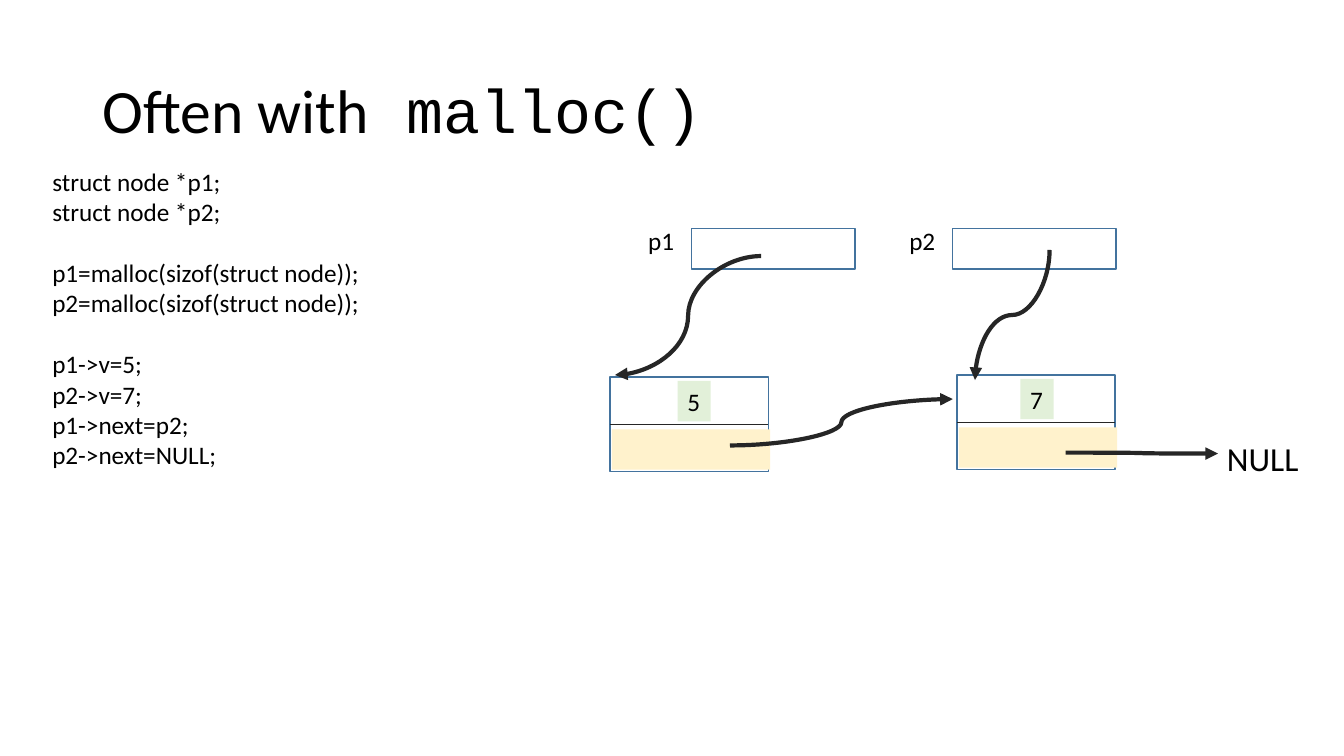
from dataclasses import dataclass

from pptx import Presentation
from pptx.dml.color import RGBColor
from pptx.enum.dml import MSO_LINE
from pptx.enum.shapes import MSO_CONNECTOR, MSO_SHAPE
from pptx.enum.text import MSO_ANCHOR, MSO_AUTO_SIZE, PP_ALIGN
from pptx.oxml.ns import qn
from pptx.oxml.xmlchemy import OxmlElement
from pptx.shapes.autoshape import Shape
from pptx.shapes.connector import Connector
from pptx.slide import Slide
from pptx.text.text import TextFrame, _Paragraph
from pptx.util import Inches, Pt

RECTANGLE = MSO_SHAPE.RECTANGLE
STRAIGHT, CURVE = MSO_CONNECTOR.STRAIGHT, MSO_CONNECTOR.CURVE
SOLID = MSO_LINE.SOLID
TOP, MIDDLE = MSO_ANCHOR.TOP, MSO_ANCHOR.MIDDLE
NO_FIT = MSO_AUTO_SIZE.NONE
LEFT = PP_ALIGN.LEFT
LEFT_SIDE, RIGHT_SIDE = 1, 3


@dataclass(frozen=True)
class Theme:
    text: RGBColor = RGBColor(0x00, 0x00, 0x00)
    outline: RGBColor = RGBColor(0x43, 0x73, 0x9E)
    ink: RGBColor = RGBColor(0x26, 0x26, 0x26)
    value_fill: RGBColor = RGBColor(0xE2, 0xF0, 0xD9)
    next_fill: RGBColor = RGBColor(0xFF, 0xF2, 0xCC)
    font: str = "Calibri"
    code_font: str = "Courier New"
    title_size: int = 44
    null_size: int = 24
    body_size: int = 18
    code_gap: int = 22


@dataclass(frozen=True)
class Box:
    left: float
    top: float
    width: float
    height: float


@dataclass(frozen=True)
class Node:
    left: float
    top: float
    value: str
    value_offset: float


@dataclass(frozen=True)
class Pointer:
    name: str
    left: float


@dataclass(frozen=True)
class Arrow:
    x1: float
    y1: float
    x2: float
    y2: float
    leaves_down: bool = False


THEME = Theme()
CODE = [
    ["struct node *p1;", "struct node *p2;"],
    ["p1=malloc(sizof(struct node));", "p2=malloc(sizof(struct node));"],
    ["p1->v=5;", "p2->v=7;", "p1->next=p2;", "p2->next=NULL;"],
]
NODES = [Node(6.05, 3.74, "5", 0.67), Node(9.49, 3.72, "7", 0.63)]
POINTERS = [Pointer("p1", 6.86), Pointer("p2", 9.45)]
ARROWS = [
    Arrow(7.55, 2.54, 6.1, 3.72),
    Arrow(10.41, 2.48, 9.67, 3.77, leaves_down=True),
    Arrow(7.24, 4.42, 9.45, 3.96),
    Arrow(10.57, 4.49, 12.08, 4.5),
]
NODE_WIDTH, NODE_HEIGHT = 1.57, 0.94
POINTER_TOP, POINTER_WIDTH = 2.27, 1.62
CELL_HEIGHT = 0.4


def place(box: Box) -> tuple[Inches, Inches, Inches, Inches]:
    return Inches(box.left), Inches(box.top), Inches(box.width), Inches(box.height)


def add_run(p: _Paragraph, text: str, size: int, font: str = THEME.font) -> None:
    r = p.add_run()
    r.text = text
    r.font.name, r.font.size = font, Pt(size)
    r.font.color.rgb = THEME.text


def add_text(s: Slide, box: Box, wrap: bool = True) -> TextFrame:
    tf = s.shapes.add_textbox(*place(box)).text_frame
    tf.word_wrap = wrap
    return tf


def add_rect(s: Slide, box: Box, fill: RGBColor | None = None) -> Shape:
    """Add a filled rectangle, or an outlined one when no fill is given."""
    sp = s.shapes.add_shape(RECTANGLE, *place(box))
    sp.shadow.inherit = False
    if fill is None:
        sp.fill.background()
        sp.line.color.rgb, sp.line.width = THEME.outline, Pt(1)
    else:
        sp.fill.solid()
        sp.fill.fore_color.rgb = fill
        sp.line.fill.background()
    return sp


def style_line(line: Connector, width: float) -> None:
    line.line.color.rgb, line.line.width = THEME.ink, Pt(width)
    line.line.dash_style = SOLID
    line._element.spPr.append(OxmlElement("a:effectLst"))


def add_title(s: Slide) -> None:
    title = s.shapes.title
    title.left, title.top, title.width, title.height = place(Box(0.92, 0.4, 11.5, 1.45))
    tf = title.text_frame
    tf.auto_size, tf.vertical_anchor = NO_FIT, MIDDLE
    p = tf.paragraphs[0]
    p.alignment, p.line_spacing = LEFT, 0.9
    add_run(p, "Often with", THEME.title_size)
    add_run(p, " malloc()", THEME.title_size, THEME.code_font)


def add_code(s: Slide) -> None:
    tf = add_text(s, Box(0.42, 1.6, 4.25, 3.13))
    p = tf.paragraphs[0]
    for b, block in enumerate(CODE):
        for i, statement in enumerate(block):
            if b or i:
                p = tf.add_paragraph()
            if b and i == 0:
                p.space_before = Pt(THEME.code_gap)
            add_run(p, statement, THEME.body_size)


def add_node(s: Slide, node: Node) -> None:
    frame = add_rect(s, Box(node.left, node.top, NODE_WIDTH, NODE_HEIGHT))
    middle = Inches(node.top + NODE_HEIGHT / 2)
    divider = s.shapes.add_connector(
        STRAIGHT, Inches(node.left), middle, Inches(node.left + NODE_WIDTH), middle)
    divider.begin_connect(frame, LEFT_SIDE)
    divider.end_connect(frame, RIGHT_SIDE)
    style_line(divider, 0.5)

    value_box = Box(node.left + node.value_offset, node.top + 0.04, 0.33, CELL_HEIGHT)
    tf = add_rect(s, value_box, THEME.value_fill).text_frame
    tf.word_wrap, tf.vertical_anchor = False, TOP
    p = tf.paragraphs[0]
    p.alignment = LEFT
    add_run(p, node.value, THEME.body_size)

    next_box = Box(node.left + 0.02, node.top + 0.52, NODE_WIDTH, CELL_HEIGHT)
    add_rect(s, next_box, THEME.next_fill)


def add_pointer(s: Slide, pointer: Pointer) -> None:
    add_rect(s, Box(pointer.left, POINTER_TOP, POINTER_WIDTH, CELL_HEIGHT))
    tf = add_text(s, Box(pointer.left - 0.53, POINTER_TOP - 0.08, 0.56, CELL_HEIGHT))
    add_run(tf.paragraphs[0], pointer.name, THEME.body_size)


def add_arrow(s: Slide, arrow: Arrow) -> None:
    """Add a curved arrow; one that leaves downwards is a quarter turn of a level one."""
    x1, y1, x2, y2 = arrow.x1, arrow.y1, arrow.x2, arrow.y2
    if arrow.leaves_down:
        cx, cy = (x1 + x2) / 2, (y1 + y2) / 2
        dx, dy = (x2 - x1) / 2, (y2 - y1) / 2
        x1, y1, x2, y2 = cx - dy, cy + dx, cx + dy, cy - dx
    curve = s.shapes.add_connector(CURVE, Inches(x1), Inches(y1), Inches(x2), Inches(y2))
    if arrow.leaves_down:
        curve._element.spPr.find(qn("a:xfrm")).set("rot", str(90 * 60000))
    style_line(curve, 3)
    head = OxmlElement("a:tailEnd")
    head.set("type", "triangle")
    curve._element.spPr.find(qn("a:ln")).append(head)


def main() -> None:
    prs = Presentation()
    prs.slide_width, prs.slide_height = Inches(13.33), Inches(7.5)
    s = prs.slides.add_slide(prs.slide_layouts[5])
    add_title(s)
    add_code(s)
    for node in NODES:
        add_node(s, node)
    for pointer in POINTERS:
        add_pointer(s, pointer)
    for arrow in ARROWS:
        add_arrow(s, arrow)
    tf = add_text(s, Box(12.07, 4.3, 0.92, 0.5), wrap=False)
    add_run(tf.paragraphs[0], "NULL", THEME.null_size)
    prs.save("out.pptx")


if __name__ == "__main__":
    main()
